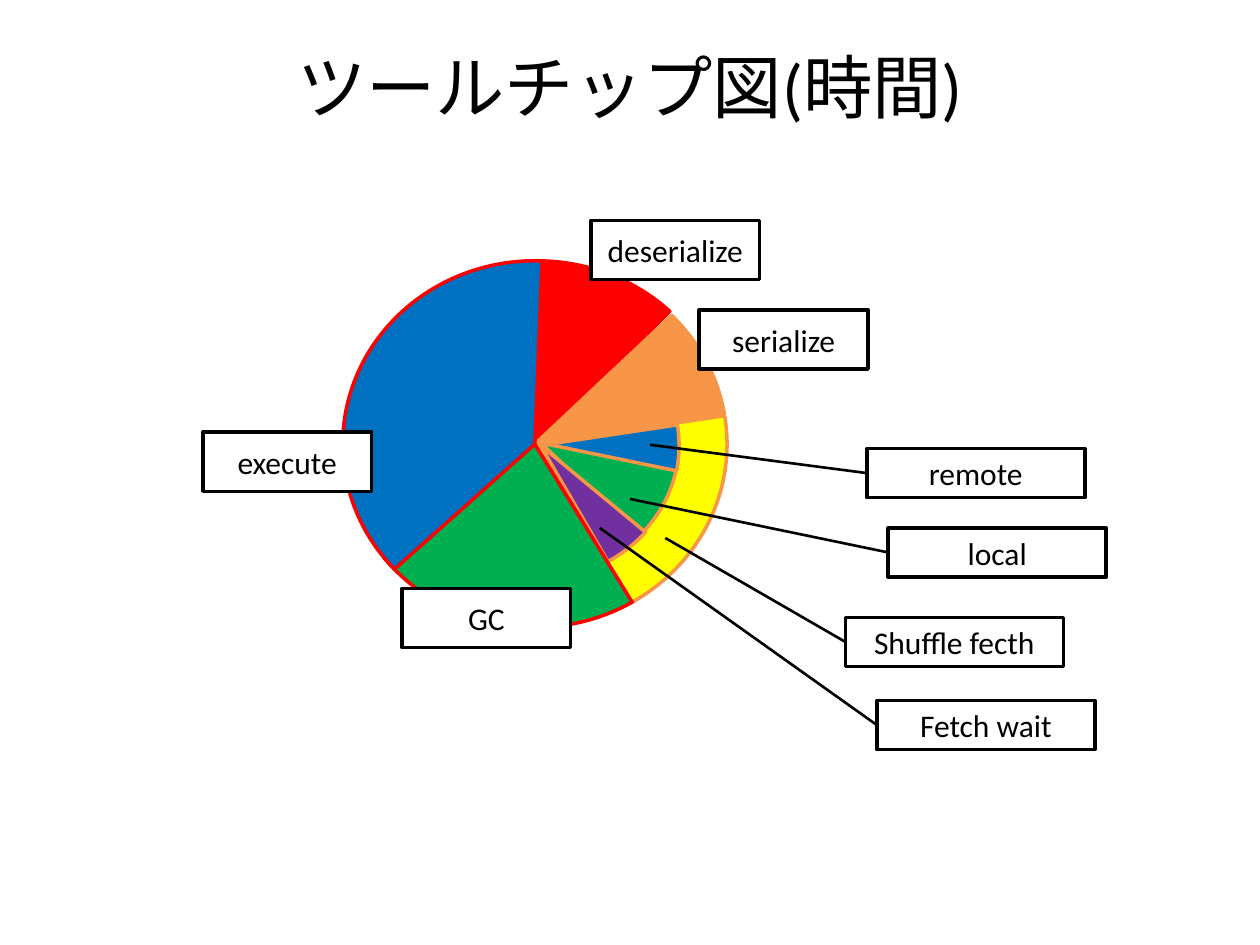
from lxml import etree
from pptx import Presentation
from pptx.dml.color import RGBColor
from pptx.enum import shapes, text
from pptx.oxml import ns
from pptx.util import Inches, Pt

FONT = "Calibri"
BLACK = RGBColor(0x00, 0x00, 0x00)
WHITE = RGBColor(0xFF, 0xFF, 0xFF)
RED = RGBColor(0xFF, 0x00, 0x00)
ORANGE = RGBColor(0xF7, 0x96, 0x46)
YELLOW = RGBColor(0xFF, 0xFF, 0x00)
BLUE = RGBColor(0x00, 0x70, 0xC0)
GREEN = RGBColor(0x00, 0xB0, 0x50)
PURPLE = RGBColor(0x70, 0x30, 0xA0)

OUTER = (2.72, 2.07, 3.05, 2.91)
INNER = (3.19, 2.48, 2.2, 2.11)

# Bounds, start and end angle in degrees clockwise from the right, fill, line
SLICES = [
    ((2.74, 2.07, 3.05, 2.91), 270.44, 314.93, RED, RED),
    (OUTER, 316.74, 350.88, ORANGE, ORANGE),
    (OUTER, 351.49, 59.07, YELLOW, ORANGE),
    (INNER, 351.49, 10.71, BLUE, ORANGE),
    ((3.19, 2.46, 2.2, 2.11), 11.63, 43.17, GREEN, ORANGE),
    (INNER, 39.56, 59.84, PURPLE, ORANGE),
    (OUTER, 58.37, 142.98, GREEN, RED),
    (OUTER, 138.28, 272.26, BLUE, RED),
]

TASK_SIZE = (1.34, 0.47)
TASK_LABELS = [
    ("deserialize", 4.69, 1.75),
    ("serialize", 5.55, 2.46),
    ("GC", 3.19, 4.67),
    ("execute", 1.61, 3.43),
]

FETCH_SIZE = (1.73, 0.39)
# Wording, left, top, and the point inside the pie that the line reaches
FETCH_LABELS = [
    ("Shuffle fecth", 6.71, 4.9, (5.28, 4.27)),
    ("remote", 6.88, 3.56, (5.16, 3.53)),
    ("local", 7.05, 4.19, (5, 3.96)),
    ("Fetch wait", 6.96, 5.56, (4.76, 4.19)),
]


def write_centred(shape, wording, size):
    frame = shape.text_frame
    frame.word_wrap = True
    frame.vertical_anchor = text.MSO_ANCHOR.MIDDLE
    para = frame.paragraphs[0]
    para.alignment = text.PP_ALIGN.CENTER
    span = para.add_run()
    span.text = wording
    span.font.name = FONT
    span.font.size = Pt(size)
    span.font.color.rgb = BLACK


def add_filled(page, preset, bounds, fill, line):
    shape = page.shapes.add_shape(preset, *map(Inches, bounds))
    shape.shadow.inherit = False
    shape.fill.solid()
    shape.fill.fore_color.rgb = fill
    shape.line.color.rgb = line
    shape.line.width = Pt(2)
    return shape


def add_slice(page, bounds, start, end, fill, line):
    wedge = add_filled(page, shapes.MSO_SHAPE.PIE, bounds, fill, line)
    # Angles are stored in 60000ths of a degree, adjustments in 100000ths
    wedge.adjustments[0] = start * 0.6
    wedge.adjustments[1] = end * 0.6


def add_label(page, wording, left, top, size):
    box = add_filled(page, shapes.MSO_SHAPE.RECTANGLE, (left, top, *size), WHITE, BLACK)
    write_centred(box, wording, 18)
    return box


def add_pointer(page, box, target):
    """Draw a line from the left side of a label to a point in the pie."""
    end_x, end_y = map(Inches, target)
    pointer = page.shapes.add_connector(
        shapes.MSO_CONNECTOR.STRAIGHT, box.left, box.top + box.height // 2, end_x, end_y
    )
    pointer.begin_connect(box, 1)
    pointer.line.color.rgb = BLACK
    pointer.line.width = Pt(1.5)
    etree.SubElement(pointer._element.spPr, ns.qn("a:effectLst"))


def main():
    deck = Presentation()
    deck.slide_width, deck.slide_height = Inches(10), Inches(7.5)
    page = deck.slides.add_slide(deck.slide_layouts[6])

    title = page.shapes.add_textbox(Inches(0.5), Inches(0.3), Inches(9), Inches(0.77))
    write_centred(title, "ツールチップ図(時間)", 39.6)

    for wedge in SLICES:
        add_slice(page, *wedge)
    for wording, left, top in TASK_LABELS:
        add_label(page, wording, left, top, TASK_SIZE)
    for wording, left, top, target in FETCH_LABELS:
        box = add_label(page, wording, left, top, FETCH_SIZE)
        add_pointer(page, box, target)

    deck.save("out.pptx")


if __name__ == "__main__":
    main()
